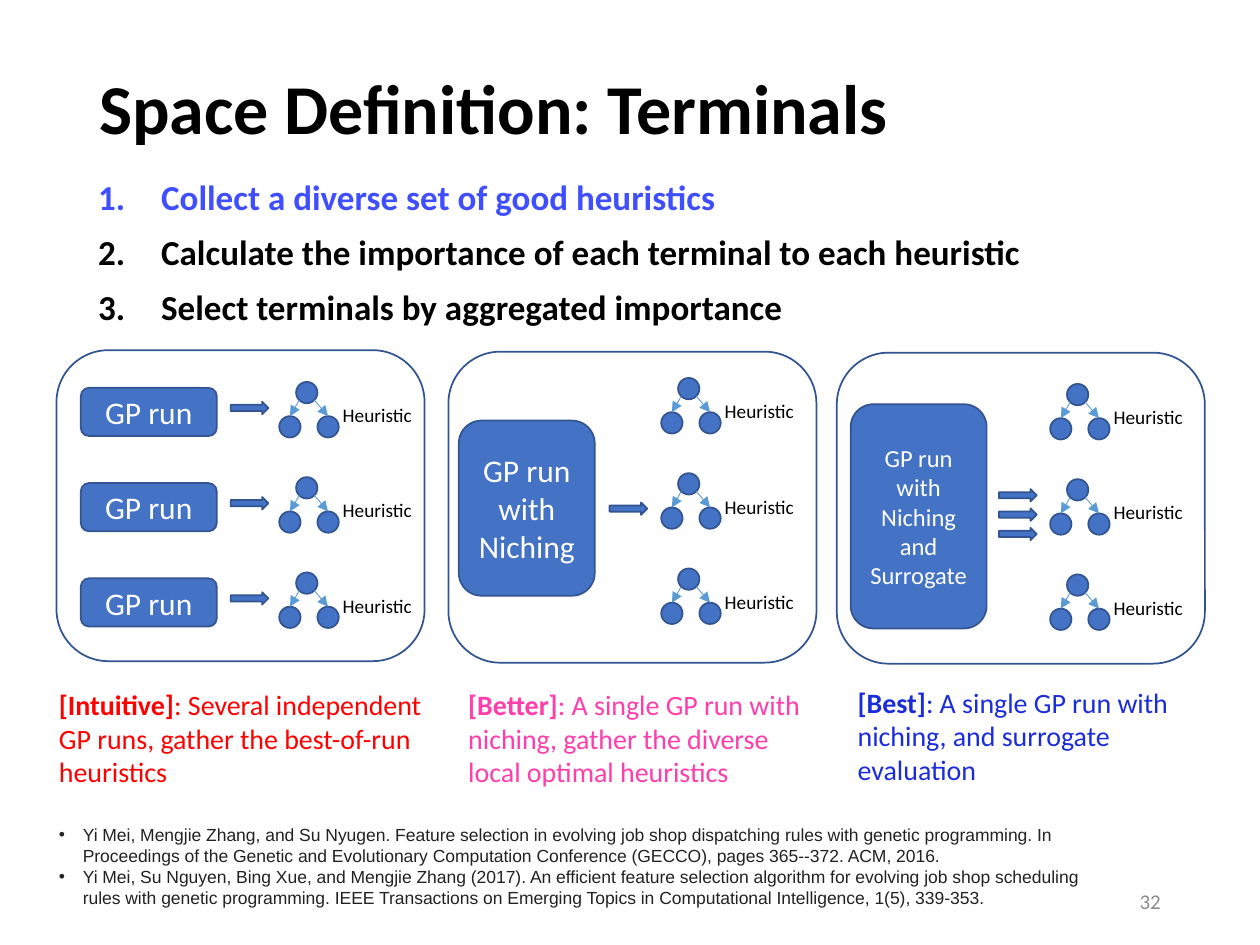
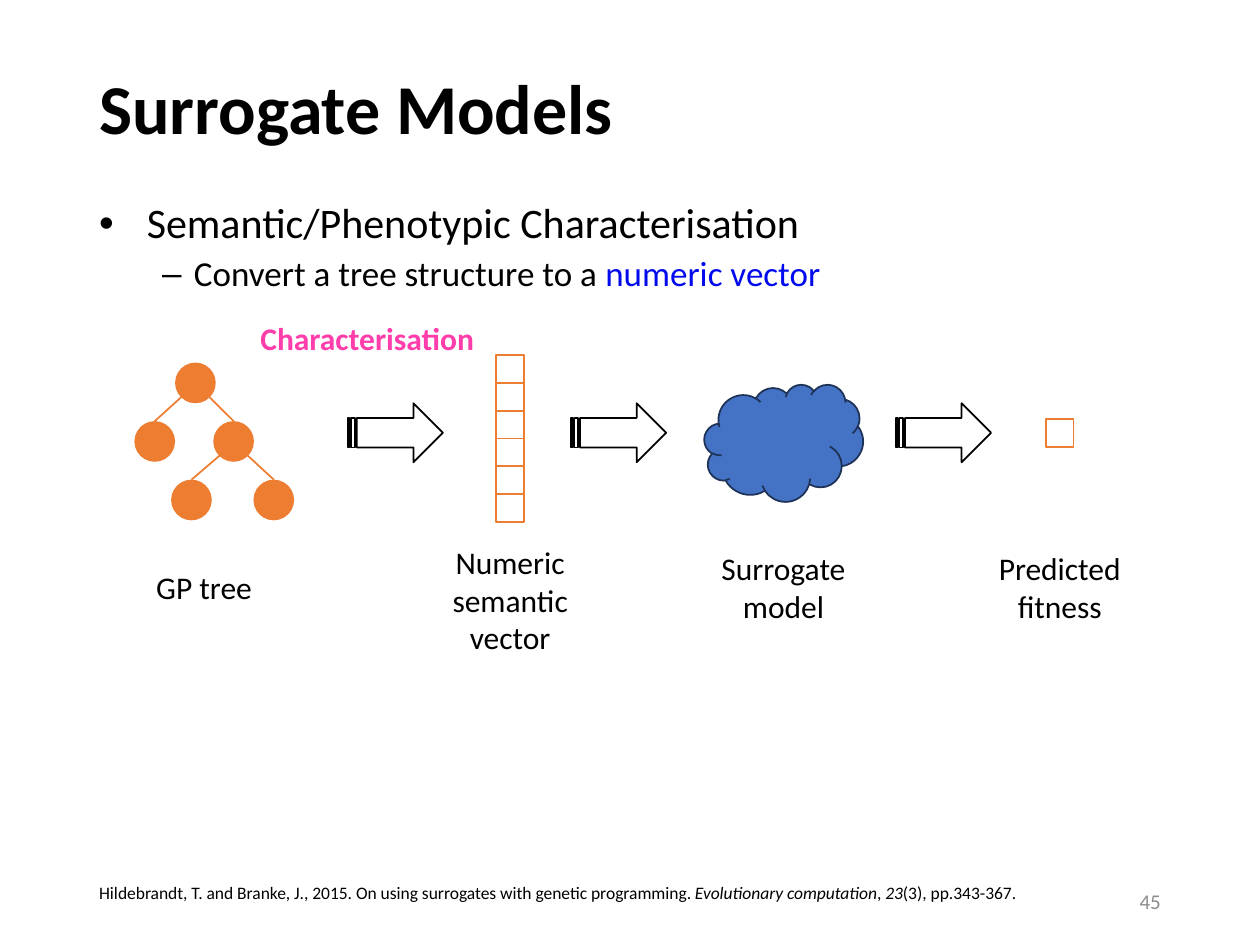
from dataclasses import dataclass, field

from lxml import etree
from pptx import Presentation
from pptx.dml.color import RGBColor
from pptx.enum.shapes import MSO_CONNECTOR, MSO_SHAPE
from pptx.enum.text import MSO_ANCHOR, PP_ALIGN
from pptx.oxml.ns import qn
from pptx.util import Cm, Pt

STRAIGHT = MSO_CONNECTOR.STRAIGHT
CLOUD = MSO_SHAPE.CLOUD
OVAL = MSO_SHAPE.OVAL
RECT = MSO_SHAPE.RECTANGLE
ROUNDED = MSO_SHAPE.ROUNDED_RECTANGLE
RIGHT_ARROW = MSO_SHAPE.RIGHT_ARROW
STRIPED_ARROW = MSO_SHAPE.STRIPED_RIGHT_ARROW
TOP, MIDDLE = MSO_ANCHOR.TOP, MSO_ANCHOR.MIDDLE
LEFT, CENTER, RIGHT = PP_ALIGN.LEFT, PP_ALIGN.CENTER, PP_ALIGN.RIGHT


@dataclass(frozen=True)
class Theme:
    """Colours, fonts and type sizes of the deck."""

    black: str = "000000"
    white: str = "FFFFFF"
    blue: str = "4472C4"
    outline: str = "325491"
    cloud_line: str = "1E3256"
    edge: str = "5B9BD5"
    orange: str = "ED7D31"
    grey: str = "8C8C8C"
    ink: str = "222222"
    active: str = "3F4EFF"
    vector: str = "000AEC"
    red: str = "FF0000"
    pink: str = "FF3DAB"
    best: str = "1B2CDA"
    font: str = "Calibri"
    cite_font: str = "Arial"
    title: int = 40
    lead: int = 24
    body: int = 20
    label: int = 18
    caption: int = 16
    box: int = 14
    number: int = 12
    small: int = 11
    cite: int = 10


@dataclass
class Para:
    """A paragraph: runs of (text, font values), indents, bullet and format."""

    runs: list
    left: float = 0
    hang: float = 0
    bullet: str = ""
    level: int = 0
    fmt: dict = field(default_factory=dict)


class Deck:
    """Holds the theme and the current slide, and draws each kind of element."""

    def __init__(self, theme):
        """Open a 4:3 presentation."""
        self.t = theme
        self.prs = Presentation()
        self.prs.slide_width, self.prs.slide_height = Cm(25.4), Cm(19.05)

    def slide(self, title, number):
        """Add a slide with its title and number."""
        self.s = self.prs.slides.add_slide(self.prs.slide_layouts[6])
        self.shapes = self.s.shapes
        self.text((1.75, 1.02, 21.9, 2.46),
                  [Para([(title, {})], fmt={"line_spacing": 0.9})],
                  {"size": self.t.title, "bold": True}, anchor=MIDDLE)
        self.text((17.93, 17.65, 5.72, 1.02), number,
                  {"size": self.t.number, "color": self.t.grey}, RIGHT, MIDDLE)

    def group(self):
        """Draw the following elements into a new group."""
        self.shapes = self.s.shapes.add_group_shape().shapes

    def shape(self, kind, at, fill=None, line=None):
        """Add a preset shape."""
        sp = self.shapes.add_shape(kind, *map(Cm, at))
        sp.shadow.inherit = False
        if fill:
            sp.fill.solid()
            sp.fill.fore_color.rgb = RGBColor.from_string(fill)
        else:
            sp.fill.background()
        if line:
            sp.line.color.rgb = RGBColor.from_string(line)
            sp.line.width = Pt(1)
        else:
            sp.line.fill.background()
        return sp

    def box(self, at, text, size):
        """Add a blue rounded box with centred text."""
        sp = self.shape(ROUNDED, at, self.t.blue, self.t.outline)
        self.set_text(sp.text_frame, text, {"size": size, "color": self.t.white},
                      CENTER, MIDDLE)

    def text(self, at, content, font, align=LEFT, anchor=TOP, wrap=True):
        """Add a text box."""
        tf = self.shapes.add_textbox(*map(Cm, at)).text_frame
        self.set_text(tf, content, font, align, anchor, wrap)

    def set_text(self, tf, content, font, align=LEFT, anchor=TOP, wrap=True):
        """Fill a text frame with a string or a list of paragraphs."""
        tf.word_wrap, tf.vertical_anchor = wrap, anchor
        paras = [Para([(content, {})])] if isinstance(content, str) else content
        for i, para in enumerate(paras):
            p = tf.add_paragraph() if i else tf.paragraphs[0]
            for name, value in {"alignment": align, "level": para.level, **para.fmt}.items():
                setattr(p, name, value)
            self.indent(p, para)
            for words, own in para.runs:
                r = p.add_run()
                r.text = words
                self.style(r.font, {**font, **own})

    def indent(self, p, para):
        """Set indents and the bullet or number of a paragraph."""
        pPr = p._p.get_or_add_pPr()
        pPr.set("marL", str(Cm(para.left)))
        pPr.set("indent", str(-Cm(para.hang)))
        if para.bullet == "1.":
            etree.SubElement(pPr, qn("a:buAutoNum"), type="arabicPeriod")
        elif para.bullet:
            etree.SubElement(pPr, qn("a:buFont"), typeface="Arial")
            etree.SubElement(pPr, qn("a:buChar"), char=para.bullet)

    def style(self, font, values):
        """Apply font values over the theme defaults."""
        values = {"name": self.t.font, "color": self.t.black, **values}
        font.color.rgb = RGBColor.from_string(values.pop("color"))
        values["size"] = Pt(values["size"])
        for name, value in values.items():
            setattr(font, name, value)

    def line(self, start, end, color, width, arrow=False):
        """Add a straight connector, with an arrowhead if asked."""
        c = self.shapes.add_connector(STRAIGHT, *map(Cm, (*start, *end)))
        c.line.color.rgb = RGBColor.from_string(color)
        c.line.width = Pt(width)
        spPr = c.element.spPr
        if arrow:
            etree.SubElement(spPr.find(qn("a:ln")), qn("a:tailEnd"), type="triangle")
        etree.SubElement(spPr, qn("a:effectLst"))

    def tree(self, nodes, edges, size, fill, outline, **edge):
        """Draw round nodes and the edges between (parent, child) indices."""
        for x, y in nodes:
            self.shape(OVAL, (x, y, size, size), fill, outline)
        for parent, child in edges:
            (px, py), (cx, cy) = nodes[parent], nodes[child]
            side = 0.15 if cx < px else 0.85
            self.line((px + side * size, py + 0.85 * size), (cx + size / 2, cy), **edge)

    def heuristic(self, x, y):
        """Draw a small labelled heuristic tree with its root at x, y."""
        t = self.t
        self.tree([(x, y), (x - 0.34, y + 0.69), (x + 0.43, y + 0.69)],
                  [(0, 1), (0, 2)], 0.43, t.blue, t.outline,
                  color=t.edge, width=0.5, arrow=True)
        self.text((x + 0.69, y + 0.31, 1.93, 0.74), "Heuristic",
                  {"size": t.small}, wrap=False)

    def panel(self, at, boxes, arrows, root, size):
        """Draw a framed way of collecting three heuristics."""
        t = self.t
        self.group()
        self.shape(ROUNDED, (*at, 7.42, 6.27), None, t.outline)
        for place, text in boxes:
            self.box(place, text, size)
        for x, y in arrows:
            self.shape(RIGHT_ARROW, (x, y, 0.76, 0.25), t.blue, t.outline)
        for i in range(3):
            self.heuristic(root[0], root[1] + ROW * i)


ROW = 1.92
REFERENCES = [
    "Yi Mei, Mengjie Zhang, and Su Nyugen. Feature selection in evolving job shop "
    "dispatching rules with genetic programming. In Proceedings of the Genetic and "
    "Evolutionary Computation Conference (GECCO), pages 365--372. ACM, 2016.",
    "Yi Mei, Su Nguyen, Bing Xue, and Mengjie Zhang (2017). An efficient feature "
    "selection algorithm for evolving job shop scheduling rules with genetic "
    "programming. IEEE Transactions on Emerging Topics in Computational "
    "Intelligence, 1(5), 339-353.",
]


def terminals(d):
    """Build the slide on choosing terminals."""
    t = d.t
    d.slide("Space Definition: Terminals", "32")
    steps = [("Collect a diverse set of good heuristics", t.active),
             ("Calculate the importance of each terminal to each heuristic", t.black),
             ("Select terminals by aggregated importance", t.black)]
    d.text((1.73, 3.5, 21.9, 13.18),
           [Para([(step, {"color": color})], 1.27, 1.27, "1.",
                 fmt={"line_spacing": 0.9, "space_before": Pt(10 if i else 0)})
            for i, (step, color) in enumerate(steps)],
           {"size": t.body, "bold": True})

    captions = [
        ((0.94, 13.74, 7.85, 2.31), 0, t.red, "[Intuitive]",
         ": Several independent GP runs, gather the best-of-run heuristics"),
        ((7.92, 13.74, 8.76, 2.31), 1, t.pink, "[Better]",
         ": A single GP run with niching, gather the diverse local optimal heuristics"),
        ((15.77, 13.69, 8.76, 2.31), 1, t.best, "[Best]",
         ": A single GP run with niching, and surrogate evaluation"),
    ]
    for at, level, color, verdict, reason in captions:
        d.text(at, [Para([(verdict, {"bold": True}), (reason, {})],
                         1.27 * level, level=level)],
               {"size": t.caption, "color": color})
    sp = d.shape(RECT, (0.94, 16.48, 21.18, 1.96), t.white)
    d.set_text(sp.text_frame, [Para([(ref, {})], 0.48, 0.48, "•") for ref in REFERENCES],
               {"size": t.cite, "name": t.cite_font, "color": t.ink})

    d.panel((1.14, 7.06),
            [((1.63, 7.82 + ROW * i, 2.74, 0.97), "GP run") for i in range(3)],
            [(4.65, 8.1 + ROW * i) for i in range(3)], (5.97, 7.7), t.label)
    d.panel((9.04, 7.09), [((9.25, 8.48, 2.74, 3.53), "GP run with Niching")],
            [(12.29, 10.13)], (13.67, 7.62), t.label)
    d.panel((16.87, 7.11),
            [((17.15, 8.15, 2.74, 4.52), "GP run with Niching and Surrogate")],
            [(20.14, 9.86 + 0.39 * i) for i in range(3)], (21.51, 7.74), t.box)


def surrogates(d):
    """Build the slide on surrogate models."""
    t = d.t
    d.slide("Surrogate Models", "45")
    d.text((1.75, 3.96, 21.9, 13.18),
           [Para([("Semantic/Phenotypic Characterisation", {"size": t.lead})],
                 0.96, 0.96, "•", fmt={"line_spacing": 0.9}),
            Para([("Convert a tree structure to a ", {}),
                  ("numeric vector", {"color": t.vector})], 1.91, 0.64, "–", 1,
                 {"line_spacing": 0.9, "space_before": Pt(5)})],
           {"size": t.body})

    d.tree([(3.53, 7.31), (2.71, 8.49), (4.3, 8.49), (3.45, 9.67), (5.11, 9.67)],
           [(0, 1), (0, 2), (2, 3), (2, 4)], 0.82, t.orange, None,
           color=t.orange, width=1)
    cell = 0.56
    for x, y in [(10, 7.16 + cell * i) for i in range(6)] + [(21.08, 8.45)]:
        d.shape(RECT, (x, y, cell, cell), t.white, t.orange)
    d.shape(CLOUD, (14.2, 7.75, 3.2, 2.36), t.blue, t.cloud_line)
    for x in (7.01, 11.51, 18.06):
        d.shape(STRIPED_ARROW, (x, 8.13, 1.92, 1.19), t.white, t.black)

    d.text((2.9, 11.33, 2.46, 1.02), "GP tree", {"size": t.label}, wrap=False)
    d.text((5, 6.3, 4.85, 1.02), "Characterisation",
           {"size": t.label, "color": t.pink, "bold": True}, wrap=False)
    for at, label in [((8.15, 10.82, 4.27, 2.57), "Numeric semantic vector"),
                      ((13.79, 10.95, 4.01, 1.8), "Surrogate model"),
                      ((19.79, 10.95, 3.15, 1.8), "Predicted fitness")]:
        d.text(at, label, {"size": t.label}, CENTER)
    d.text((1.75, 17.65, 21.9, 0.69),
           [Para([("Hildebrandt, T. and Branke, J., 2015. On using surrogates with "
                   "genetic programming. ", {}),
                  ("Evolutionary computation", {"italic": True}), (", ", {}),
                  ("23", {"italic": True}), ("(3), pp.343-367.", {})])],
           {"size": t.cite})


def main():
    """Build and save the deck."""
    d = Deck(Theme())
    terminals(d)
    surrogates(d)
    d.prs.save("out.pptx")


if __name__ == "__main__":
    main()
